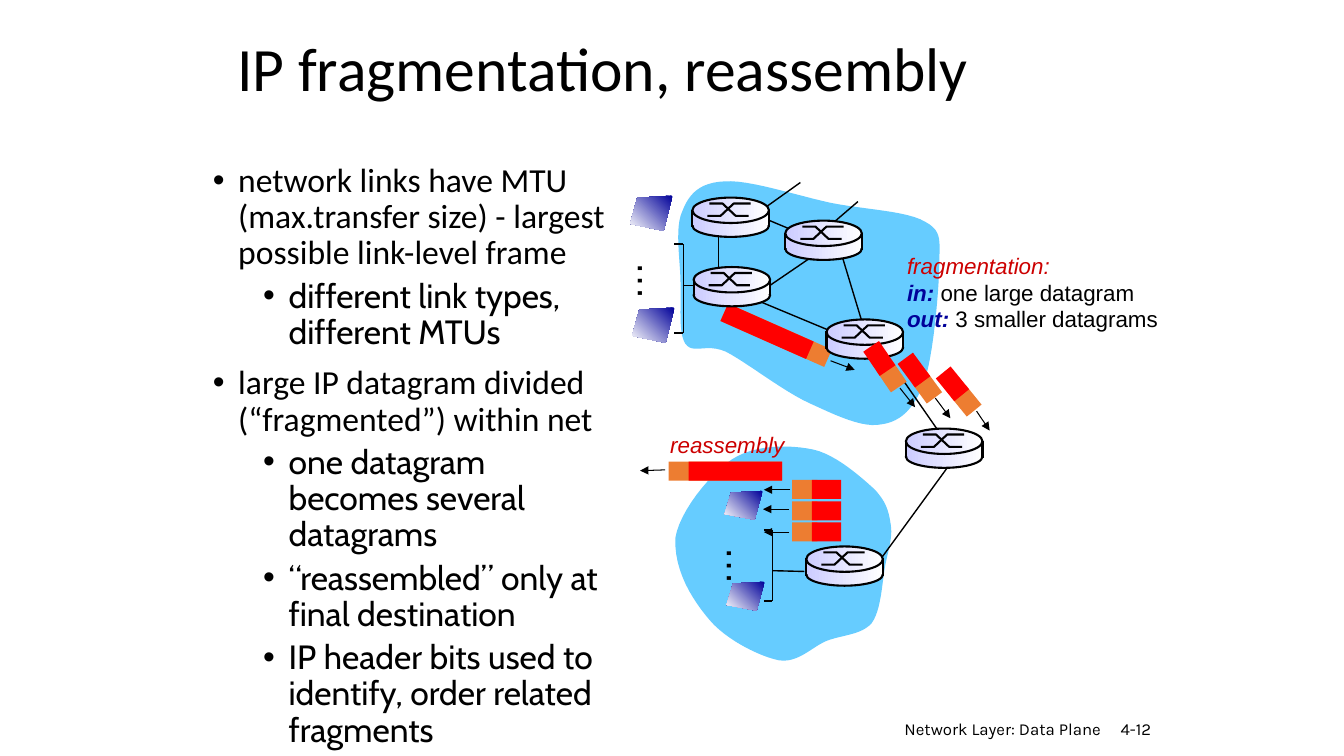
import math

import pptx
import pptx.util
import pptx.dml.color
import pptx.enum.shapes
import pptx.enum.text
import pptx.oxml
import pptx.oxml.ns
from pptx.util import Cm

RGBColor = pptx.dml.color.RGBColor
BLACK = RGBColor(0, 0, 0)
WHITE = RGBColor(255, 255, 255)
CLOUD_BLUE = RGBColor(0x66, 0xCC, 0xFF)
NAVY = RGBColor(0, 0, 0x99)
LILAC = RGBColor(0xCC, 0xCC, 0xFF)
CRIMSON = RGBColor(0xCC, 0, 0)
HEADER_ORANGE = RGBColor(0xED, 0x7D, 0x31)
PAYLOAD_RED = RGBColor(255, 0, 0)
PRESET = pptx.enum.shapes.MSO_SHAPE
ALIGN = pptx.enum.text.PP_ALIGN
ANCHOR = pptx.enum.text.MSO_ANCHOR
AUTO_SIZE = pptx.enum.text.MSO_AUTO_SIZE

BULLETS = [
    (0, "network links have MTU (max.transfer size) - largest possible link-level frame"),
    (1, "different link types, different MTUs"),
    (0, "large IP datagram divided (“fragmented”) within net"),
    (1, "one datagram becomes several datagrams"),
    (1, "“reassembled” only at final destination"),
    (1, "IP header bits used to identify, order related fragments"),
]
# Clouds: a start point, then two control points and an end point per curve (cm)
SOURCE_CLOUD = [
    (18.26, 4.57), (17.63, 4.6), (17.37, 4.88), (17.2, 5.31), (16.99, 5.74), (17.15, 6.58),
    (17.15, 7.14), (17.17, 7.7), (17.09, 8.38), (17.27, 8.66), (17.48, 8.94), (17.78, 8.64),
    (18.29, 8.86), (18.8, 9.12), (19.74, 9.86), (20.4, 10.16), (21.06, 10.46), (21.74, 10.8),
    (22.23, 10.69), (22.71, 10.62), (23.04, 10.29), (23.29, 9.63), (23.52, 8.97), (23.65, 7.42),
    (23.67, 6.76), (23.67, 6.07), (23.77, 5.84), (23.32, 5.59), (22.86, 5.31), (21.77, 5.28),
    (20.93, 5.11), (20.09, 4.93), (18.87, 4.52), (18.26, 4.57)]
DESTINATION_CLOUD = [
    (17.02, 13.56), (17.12, 12.9), (17.88, 11.96), (18.44, 11.58), (19.02, 11.2), (19.89, 11.2),
    (20.5, 11.33), (21.08, 11.46), (21.72, 12.04), (22.05, 12.34), (22.35, 12.67), (22.4, 12.9),
    (22.45, 13.23), (22.5, 13.56), (22.38, 13.87), (22.3, 14.3), (22.23, 14.71), (22.2, 15.39),
    (21.97, 15.7), (21.72, 16), (21.21, 16), (20.83, 16.15), (20.45, 16.31), (20.12, 16.71),
    (19.63, 16.64), (19.15, 16.54), (18.31, 16.13), (17.88, 15.62), (17.45, 15.11), (16.99, 14.4),
    (17.02, 13.56)]
LINKS = [
    (17.2, 7.19, 17.55, 7.19), (18.8, 5.31, 20.62, 6.07), (21.16, 6.25, 21.72, 8.1),
    (18.11, 5.61, 18.11, 7.24), (18.77, 7.44, 21.46, 8.56), (23.62, 10.82, 22.3, 8.92),
    (20.93, 6.15, 18.82, 7.59), (20.17, 4.6, 18.85, 5.54), (21.62, 5.08, 20.85, 5.74),
    (23.95, 11.68, 22.17, 14.12), (19.46, 14.38, 20.27, 14.4)]
ROUTERS = [(20.83, 8.05), (17.45, 4.98), (17.48, 6.73), (19.79, 5.56), (22.83, 10.8), (20.32, 13.77)]
# Header centre and heading in degrees
FRAGMENTS = [
    (20.28, 12.33, 180), (20.28, 12.87, 180), (20.28, 13.4, 180),
    (22.47, 9.49, 55.8), (23.36, 9.77, 53.6), (24.35, 10.1, 50.9)]
ARROWS = [
    (20.93, 9.09, 21.54, 9.32), (19.91, 12.34, 19.25, 12.34), (19.89, 12.83, 19.23, 12.83),
    (19.89, 13.41, 19.25, 13.41), (16.76, 11.84, 16.13, 11.86), (22.68, 9.78, 23.06, 10.26),
    (23.57, 10.03, 23.95, 10.54), (24.61, 10.36, 24.94, 10.85)]


def add_run(paragraph, text, font="Arial", size=16, color=BLACK, bold=False, italic=False):
    run = paragraph.add_run()
    run.text = text
    run.font.name = font
    run.font.size = pptx.util.Pt(size)
    run.font.color.rgb = color
    run.font.bold = bold
    run.font.italic = italic


def add_label(slide, box, lines, align=ALIGN.LEFT, wrap=False, rotation=0, anchor=ANCHOR.TOP):
    """Each line is a list of (text, format) runs."""
    label = slide.shapes.add_textbox(*map(Cm, box))
    label.rotation = rotation
    frame = label.text_frame
    frame.word_wrap = wrap
    frame.vertical_anchor = anchor
    frame.auto_size = AUTO_SIZE.NONE if wrap else AUTO_SIZE.SHAPE_TO_FIT_TEXT
    for index, line in enumerate(lines):
        paragraph = frame.add_paragraph() if index else frame.paragraphs[0]
        paragraph.alignment = align
        for text, style in line:
            add_run(paragraph, text, **style)


def paint(shape, fill=None, angle=0, outlined=False):
    """Fill with a colour, a pair of gradient colours or nothing."""
    shape.shadow.inherit = False
    if fill is None:
        shape.fill.background()
    elif isinstance(fill, RGBColor):
        shape.fill.solid()
        shape.fill.fore_color.rgb = fill
    else:
        shape.fill.gradient()
        shape.fill.gradient_angle = angle
        for stop, color, position in zip(shape.fill.gradient_stops, fill, (0, 1)):
            stop.color.rgb = color
            stop.position = position
    if outlined:
        shape.line.color.rgb = BLACK
        shape.line.width = pptx.util.Pt(1.5)
    else:
        shape.line.fill.background()


def add_preset(slide, preset, box, fill, outlined=False, rotation=0):
    shape = slide.shapes.add_shape(preset, *map(Cm, box))
    shape.rotation = rotation
    paint(shape, fill, outlined=outlined)


def add_outline(slide, points, close=True, **look):
    points = [(Cm(x), Cm(y)) for x, y in points]
    builder = slide.shapes.build_freeform(*points[0])
    builder.add_line_segments(points[1:], close=close)
    paint(builder.convert_to_shape(), **look)


def add_line(slide, ends, width=1.0, arrow=False):
    line = slide.shapes.add_connector(pptx.enum.shapes.MSO_CONNECTOR.STRAIGHT, *map(Cm, ends))
    line.line.color.rgb = BLACK
    line.line.width = pptx.util.Pt(width)
    if arrow:
        head = pptx.oxml.parse_xml(f'<a:tailEnd {pptx.oxml.ns.nsdecls("a")} type="triangle"/>')
        line.line._get_or_add_ln().append(head)
    line._element.spPr.append(pptx.oxml.parse_xml(f'<a:effectLst {pptx.oxml.ns.nsdecls("a")}/>'))


def add_cloud(slide, curve, steps=12):
    points = [curve[0]]
    for start in range(0, len(curve) - 1, 3):
        for step in range(1, steps + 1):
            t = step / steps
            weights = ((1 - t) ** 3, 3 * t * (1 - t) ** 2, 3 * t * t * (1 - t), t ** 3)
            points.append(tuple(sum(w * p[axis] for w, p in zip(weights, curve[start:start + 4]))
                                for axis in (0, 1)))
    add_outline(slide, points[:-1], fill=CLOUD_BLUE)


def add_router(slide, left, top):
    metal = (LILAC, WHITE)
    add_preset(slide, PRESET.OVAL, (left, top + 0.43, 1.93, 0.56), metal, outlined=True)
    add_preset(slide, PRESET.RECTANGLE, (left, top + 0.36, 1.93, 0.33), metal)
    add_preset(slide, PRESET.OVAL, (left, top, 1.93, 0.64), metal, outlined=True)
    for shift, start, end in ((0.38, 0.46, 0.15), (0.43, 0.15, 0.46)):
        far = 1.85 - shift
        bends = [(shift, start), (shift + 0.33, start), (shift + 0.66, end), (far, end)]
        add_outline(slide, [(left + x, top + y) for x, y in bends], close=False, outlined=True)
    for x in (left, left + 1.93):
        add_line(slide, (x, top + 0.3, x, top + 0.74), 1.5)


def add_datagram(slide, x, y, heading, header=0.64, payload=0.74, gap=0.55):
    """The payload's centre trails the header's by the gap."""
    turn = math.radians(heading)
    for length, back, color in ((header, 0, HEADER_ORANGE), (payload, gap, PAYLOAD_RED)):
        center_x, center_y = x - back * math.cos(turn), y - back * math.sin(turn)
        box = (center_x - length / 2, center_y - 0.24, length, 0.48)
        add_preset(slide, PRESET.RECTANGLE, box, color, rotation=heading)


def add_hosts(slide, screens, screen_size, bracket, dots):
    """Two screens with dots between them and a bracket to their right."""
    left, top, right, bottom = bracket
    for y in (top, bottom):
        add_line(slide, (left, y, right, y), 1.5)
    add_line(slide, (right, top, right, bottom))
    width, height = screen_size
    for x, y in screens:
        corners = [(1, 0), (0.17, 0.06), (0, 0.8), (0.79, 1)]
        add_outline(slide, [(x + u * width, y + v * height) for u, v in corners],
                    fill=(NAVY, WHITE), angle=225)
    add_label(slide, (dots[0] - 0.75, dots[1] - 0.72, 1.5, 1.44), [[("…", {"size": 28})]], rotation=90)


def fill_placeholders(slide):
    title, body = slide.placeholders
    for holder, box in ((title, (5.72, 0.51, 21.59, 2.59)), (body, (5.11, 3.99, 10.59, 14.15))):
        holder.left, holder.top, holder.width, holder.height = map(Cm, box)
        holder.text_frame.auto_size = AUTO_SIZE.NONE
    title.text_frame.vertical_anchor = ANCHOR.MIDDLE
    heading = title.text_frame.paragraphs[0]
    heading.alignment = ALIGN.LEFT
    heading.line_spacing = 0.9
    add_run(heading, "IP fragmentation, reassembly", font="Calibri", size=44)
    for index, (level, text) in enumerate(BULLETS):
        item = body.text_frame.add_paragraph() if index else body.text_frame.paragraphs[0]
        item.level = level
        properties = item._p.get_or_add_pPr()
        properties.set("marL", str(Cm(0.64 + 1.27 * level)))
        properties.set("indent", str(Cm(-0.64)))
        for tag in ('buFont {} typeface="Arial"', 'buChar {} char="•"'):
            properties.append(pptx.oxml.parse_xml("<a:" + tag.format(pptx.oxml.ns.nsdecls("a")) + "/>"))
        item.line_spacing = 0.9
        item.space_before = pptx.util.Pt((5 if level else 10) if index else 0)
        add_run(item, text, font="Cabin" if level else "Calibri", size=24)


def main():
    deck = pptx.Presentation()
    deck.slide_width, deck.slide_height = Cm(33.87), Cm(19.05)
    slide = deck.slides.add_slide(deck.slide_layouts[1])
    fill_placeholders(slide)
    for curve in (SOURCE_CLOUD, DESTINATION_CLOUD):
        add_cloud(slide, curve)
    for ends in LINKS:
        add_line(slide, ends)
    for x, y, heading in ((19.56, 8.45, 23.9), (18.28, 11.87, 180)):
        add_datagram(slide, x, y, heading, header=2.86, payload=2.36, gap=0.25)
    red, key = {"color": CRIMSON, "italic": True}, {"color": NAVY, "bold": True, "italic": True}
    add_label(slide, (22.61, 6.22, 6.86, 2.29), [
        [("fragmentation:", red)],
        [("in:", key), (" one large datagram", {})],
        [("out:", key), (" 3 smaller datagrams", {})]])
    add_label(slide, (16.64, 10.74, 3.4, 0.94), [[("reassembly", red)]])
    add_hosts(slide, [(15.88, 4.93), (15.93, 7.75)], (1.07, 0.89), (16.99, 6.15, 17.22, 8.4), (16.47, 7.1))
    add_hosts(slide, [(18.26, 12.37), (18.31, 14.66)], (0.96, 0.73), (19.25, 13.36, 19.46, 15.15), (18.71, 14.26))
    for left, top in ROUTERS:
        add_router(slide, left, top)
    for x, y, heading in FRAGMENTS:
        add_datagram(slide, x, y, heading)
    for ends in ARROWS:
        add_line(slide, ends, 0.75, arrow=True)
    small = {"font": "Karla", "size": 12}
    add_label(slide, (27.71, 17.98, 1.55, 0.76), [[("4-12", small)]], ALIGN.RIGHT, wrap=True, anchor=ANCHOR.MIDDLE)
    add_label(slide, (21.95, 17.98, 6.05, 0.66), [[("Network Layer: Data Plane", small)]], ALIGN.RIGHT, wrap=True)
    deck.save("out.pptx")


if __name__ == "__main__":
    main()
